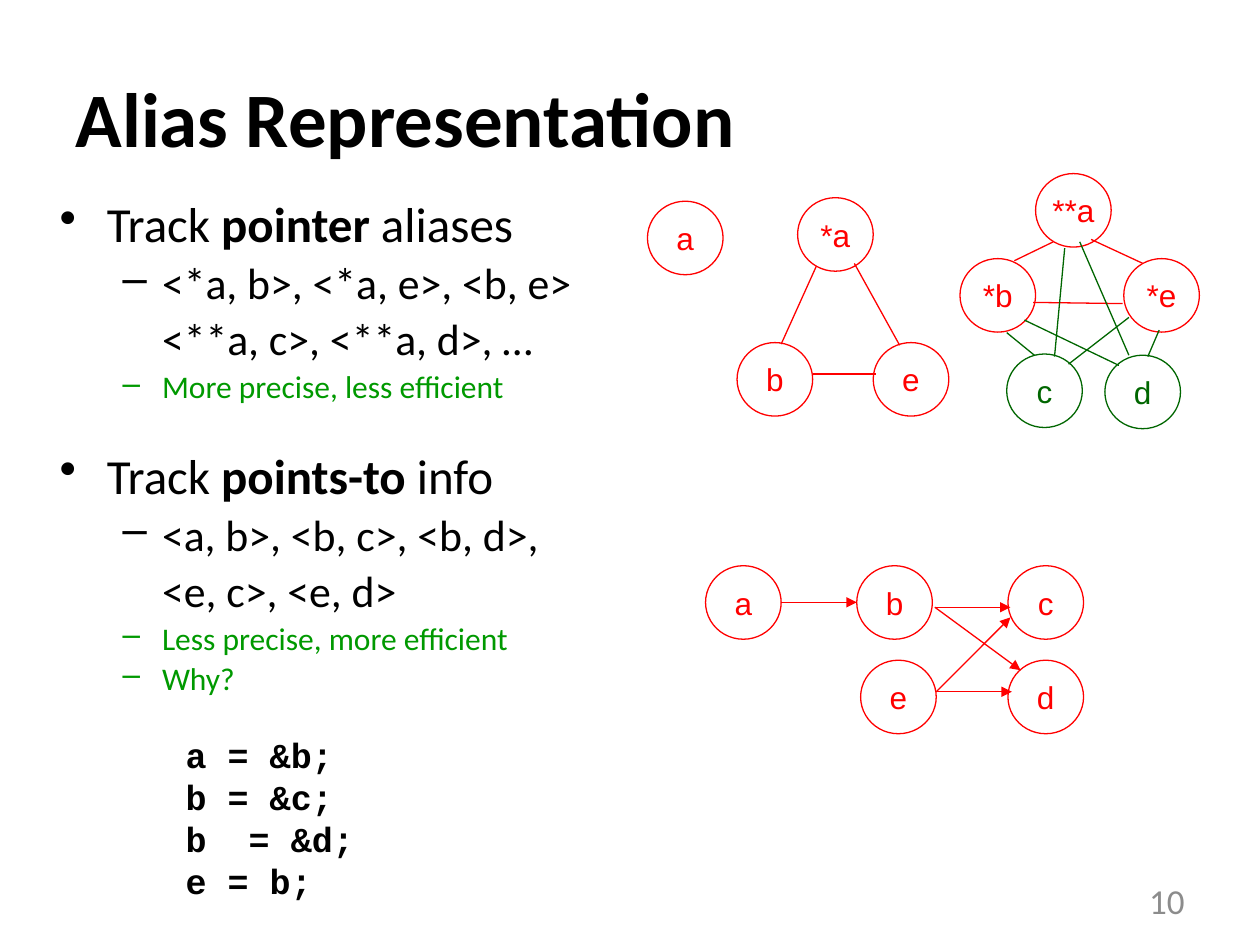
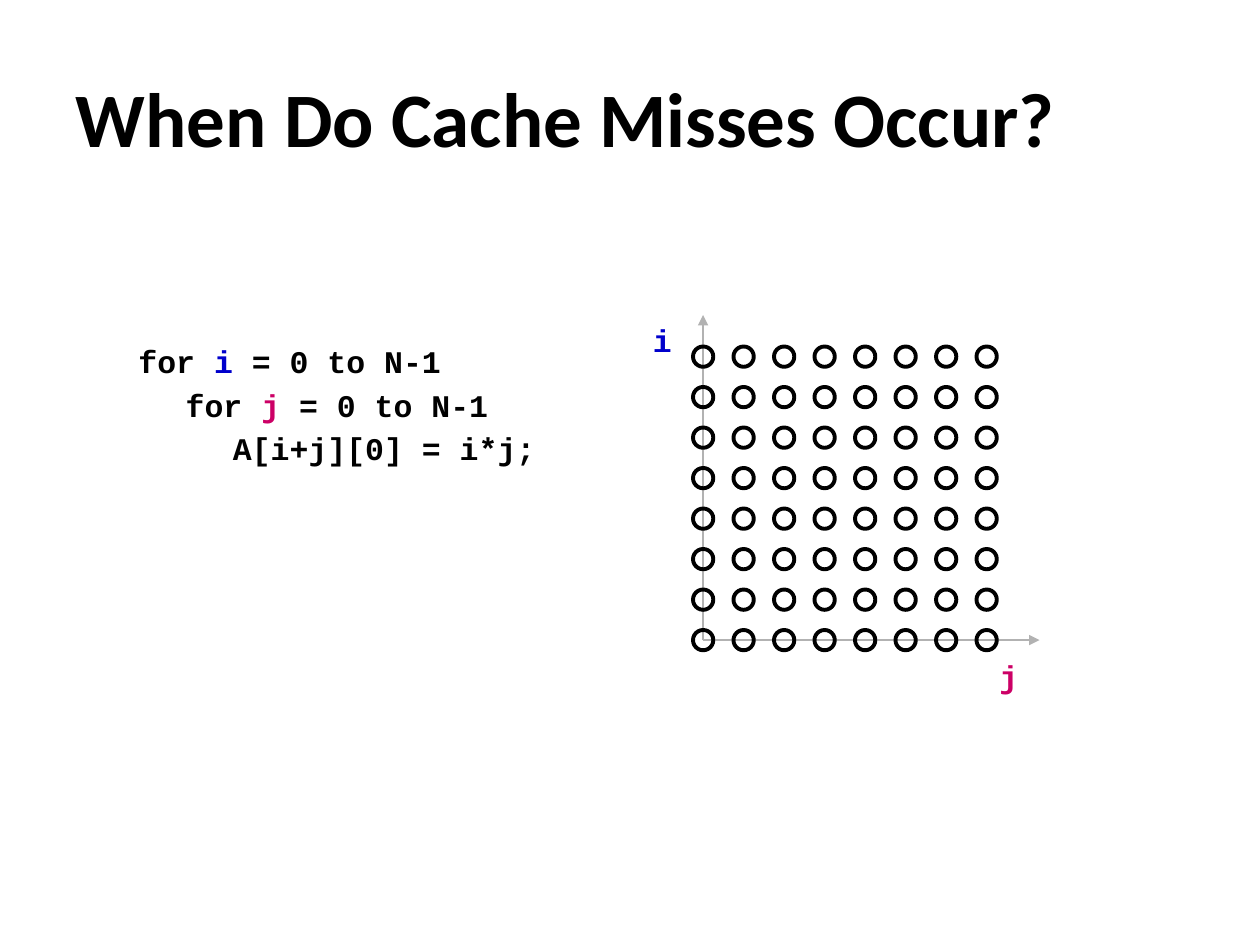
from dataclasses import dataclass

from pptx import Presentation
from pptx.dml.color import RGBColor
from pptx.enum.shapes import MSO_CONNECTOR, MSO_SHAPE
from pptx.enum.text import MSO_ANCHOR, PP_ALIGN
from pptx.oxml.ns import qn
from pptx.util import Pt
from lxml import etree

OVAL = MSO_SHAPE.OVAL
STRAIGHT = MSO_CONNECTOR.STRAIGHT
MIDDLE = MSO_ANCHOR.MIDDLE
LEFT, CENTER, RIGHT = PP_ALIGN.LEFT, PP_ALIGN.CENTER, PP_ALIGN.RIGHT
TITLE_ONLY = 5


@dataclass(frozen=True)
class Theme:
    """Colours, fonts and type sizes shared by the slides."""
    black: str = "000000"
    red: str = "FF0000"
    dark_green: str = "006600"
    green: str = "009900"
    blue: str = "0000CC"
    magenta: str = "CC0066"
    axis: str = "B2B2B2"
    number: str = "8C8C8C"
    body: str = "Calibri"
    label: str = "Arial"
    code: str = "Courier New"
    title_size: float = 44
    topic_size: float = 28
    pair_size: float = 25
    code_size: float = 20
    small_size: float = 18


THEME = Theme()


def style(span, font, size, color, bold=False):
    """Format one run."""
    span.font.name = font
    span.font.size = Pt(size)
    span.font.bold = bold
    span.font.color.rgb = RGBColor.from_string(color)


def add_span(para, text, font, size, color=THEME.black, bold=False):
    """Append a formatted run to a paragraph."""
    span = para.add_run()
    span.text = text
    style(span, font, size, color, bold)


def add_page(deck, title):
    """Add a title-only slide with the shared title style."""
    page = deck.slides.add_slide(deck.slide_layouts[TITLE_ONLY])
    box = page.shapes.title
    box.left, box.top, box.width, box.height = Pt(36), Pt(21.6), Pt(648), Pt(90)
    frame = box.text_frame
    frame.text = title
    frame.vertical_anchor = MIDDLE
    para = frame.paragraphs[0]
    para.alignment = LEFT
    style(para.runs[0], THEME.body, THEME.title_size, THEME.black, True)
    return page


def add_box(shapes, left, top, width, height):
    """Add a wrapping text box and return its text frame."""
    box = shapes.add_textbox(Pt(left), Pt(top), Pt(width), Pt(height))
    box.text_frame.word_wrap = True
    return box.text_frame


def next_para(frame):
    """Return the unused first paragraph, or a new one."""
    first = frame.paragraphs[0]
    return frame.add_paragraph() if first.runs else first


def set_indent(para, margin, hanging=0, bullet=None):
    """Set the left margin, the hanging indent and the bullet."""
    props = para._p.get_or_add_pPr()
    props.set("marL", str(Pt(margin)))
    props.set("indent", str(-Pt(hanging)))
    if bullet:
        etree.SubElement(props, qn("a:buChar")).set("char", bullet)


def add_item(frame, size, extra=0):
    """Add an outline paragraph whose gap follows its type size."""
    para = next_para(frame)
    para.line_spacing = 0.9
    para.space_before = Pt(0.2 * size + extra)
    return para


def add_topic(frame, before, strong, after, extra=0):
    """Add a top-level bullet with one bold word."""
    para = add_item(frame, THEME.topic_size, extra)
    set_indent(para, 27, 27, "\u2022")
    for text, bold in ((before, False), (strong, True), (after, False)):
        add_span(para, text, THEME.body, THEME.topic_size, bold=bold)


def add_pairs(frame, first, second):
    """Add a dashed line of pairs and its continuation."""
    for text, hanging, bullet in ((first, 22.5, "\u2013"), (second, 0, None)):
        para = add_item(frame, THEME.pair_size)
        para.level = 1
        set_indent(para, 58.5, hanging, bullet)
        add_span(para, text, THEME.body, THEME.pair_size)


def add_remark(frame, text):
    """Add a small green dashed line."""
    para = add_item(frame, THEME.small_size)
    para.level = 1
    set_indent(para, 58.5, 22.5, "\u2013")
    add_span(para, text, THEME.body, THEME.small_size, THEME.green)


def add_circle(shapes, left, top, width, height, color, weight):
    """Add an outlined, unfilled ellipse."""
    circle = shapes.add_shape(OVAL, Pt(left), Pt(top), Pt(width), Pt(height))
    circle.shadow.inherit = False
    circle.fill.background()
    circle.line.color.rgb = RGBColor.from_string(color)
    circle.line.width = Pt(weight)
    return circle


def add_node(shapes, name, left, top, color=THEME.red):
    """Add a labelled graph node."""
    frame = add_circle(shapes, left, top, 43.2, 42, color, 0.75).text_frame
    frame.word_wrap = False
    frame.vertical_anchor = MIDDLE
    para = frame.paragraphs[0]
    para.alignment = CENTER
    add_span(para, name, THEME.label, THEME.small_size, color)


def add_line(shapes, ends, color=THEME.red, weight=0.75, arrow=False):
    """Add a straight line, with an arrowhead at its end if asked."""
    line = shapes.add_connector(STRAIGHT, *(Pt(value) for value in ends))
    line.line.color.rgb = RGBColor.from_string(color)
    line.line.width = Pt(weight)
    if arrow:
        outline = line.line._get_or_add_ln()
        etree.SubElement(outline, qn("a:tailEnd")).set("type", "triangle")
    etree.SubElement(line._element.spPr, qn("a:effectLst"))


def add_graph(page, nodes, edges, arrow=False):
    """Add a group of nodes and the edges between them."""
    shapes = page.shapes.add_group_shape().shapes
    for node in nodes:
        add_node(shapes, *node)
    for color, lines in edges.items():
        for ends in lines:
            add_line(shapes, ends, color, arrow=arrow)


def add_loop_line(frame, spans, depth=0):
    """Add one tightly set line of coloured loop code."""
    para = next_para(frame)
    para.line_spacing = 0.7
    para.space_before = Pt(9.7)
    set_indent(para, 27 * depth)
    for text, color in spans:
        add_span(para, text, THEME.code, THEME.small_size, color, True)


def add_iteration_space(page, count=8):
    """Add the axes, their labels and the grid of iterations."""
    shapes = page.shapes.add_group_shape().shapes
    left, bottom, size = 396, 360, 11.6
    step = 162 / (count - 1)
    x, y = left + size / 2, bottom + size / 2
    for ends in ((x, y, x, 180), (x, y, 594, y)):
        add_line(shapes, ends, THEME.axis, 1.5, arrow=True)
    for name, color, label_left, label_top in (
            ("i", THEME.blue, 366, 186), ("j", THEME.magenta, 564, 378)):
        frame = add_box(shapes, label_left, label_top, 23, 22.3)
        add_loop_line(frame, [(name, color)])
    for row in range(count):
        for column in range(count):
            add_circle(shapes, left + column * step, bottom - row * step,
                       size, size, THEME.black, 2.25)


def build_alias_page(deck):
    """Build the slide on alias representation."""
    page = add_page(deck, "Alias Representation")

    number = add_box(page.shapes, 516, 500.4, 168, 28.8)
    number.vertical_anchor = MIDDLE
    number.paragraphs[0].alignment = RIGHT
    add_span(number.paragraphs[0], "10", THEME.body, THEME.code_size, THEME.number)

    outline = add_box(page.shapes, 27, 111, 648, 306)
    add_topic(outline, "Track ", "pointer", " aliases")
    add_pairs(outline, "<*a, b>, <*a, e>, <b, e>", "<**a, c>, <**a, d>, \u2026")
    add_remark(outline, "More precise, less efficient")
    add_topic(outline, "Track ", "points-to", " info", extra=20.8)
    add_pairs(outline, "<a, b>, <b, c>, <b, d>,", "<e, c>, <e, d>")
    add_remark(outline, "Less precise, more efficient")
    add_remark(outline, "Why?")

    code = add_box(page.shapes, 99, 415.5, 129, 103)
    for text in ("a = &b;", "b = &c;", "b  = &d;", "e = b;"):
        add_span(next_para(code), text, THEME.code, THEME.code_size, bold=True)

    add_graph(
        page,
        [("a", 403.2, 323.3), ("b", 489.6, 323.3), ("c", 576, 323.3),
         ("e", 491.8, 377.3), ("d", 576, 377.3)],
        {THEME.red: [(446.4, 344.2, 489.6, 344.2), (534.2, 347, 577.4, 347),
                     (534.2, 347, 583.2, 383), (535, 395.3, 578.2, 395.3),
                     (535, 395.3, 577.4, 352.8)]},
        arrow=True)
    add_node(page.shapes, "a", 370, 115)
    add_graph(
        page,
        [("*a", 455.8, 113), ("b", 421.2, 195.8), ("e", 499, 195.8)],
        {THEME.red: [(464.4, 213.8, 500.4, 213.8), (446.4, 196.6, 466.6, 151.9),
                     (488.2, 150.5, 514.1, 197.3)]})
    add_graph(
        page,
        [("d", 631.4, 203, THEME.dark_green), ("c", 575.3, 202.3, THEME.dark_green),
         ("*b", 548.6, 147.8), ("**a", 591.8, 99.2), ("*e", 642.2, 147.8)],
        {THEME.red: [(590.4, 172.8, 641.5, 173.5), (579.6, 149, 601.9, 138.2),
                     (623.5, 136.8, 653, 150.5)],
         THEME.dark_green: [(575.3, 190.1, 591.1, 203), (662.4, 188.6, 655.9, 203.8),
                            (608.4, 141.8, 602.6, 203.8), (645.1, 181.4, 610.6, 208.1),
                            (639.4, 208.8, 585.4, 182.9), (645.1, 203, 617, 138.2)]})


def build_cache_page(deck):
    """Build the slide on cache misses."""
    page = add_page(deck, "When Do Cache Misses Occur?")
    loops = add_box(page.shapes, 72, 198, 264, 74)
    for depth, (name, color) in enumerate((("i", THEME.blue), ("j", THEME.magenta))):
        add_loop_line(loops, [("for ", THEME.black), (name, color),
                              (" = 0 to N-1", THEME.black)], depth)
    add_loop_line(loops, [("A[i+j][0] = i*j;", THEME.black)], 2)
    add_iteration_space(page)


def main():
    """Build and save the deck."""
    deck = Presentation()
    deck.slide_width, deck.slide_height = Pt(720), Pt(540)
    build_alias_page(deck)
    build_cache_page(deck)
    deck.save("out.pptx")


main()
